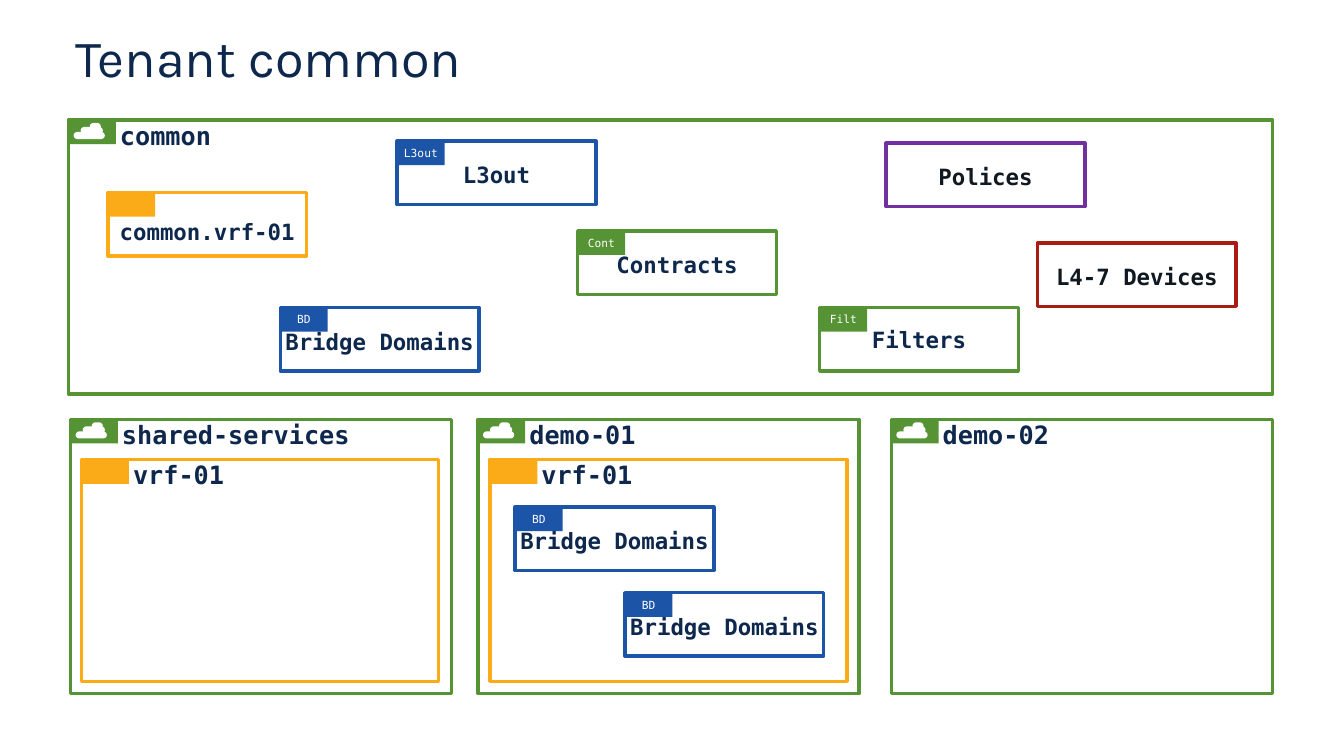
from dataclasses import dataclass

from pptx import Presentation
from pptx.dml.color import RGBColor
from pptx.enum.shapes import MSO_SHAPE
from pptx.enum.text import MSO_ANCHOR, PP_ALIGN
from pptx.shapes.autoshape import Shape
from pptx.shapes.shapetree import SlideShapes
from pptx.text.text import TextFrame
from pptx.util import Inches, Pt

RECTANGLE = MSO_SHAPE.RECTANGLE
ROUNDED = MSO_SHAPE.ROUNDED_RECTANGLE
TOP, MIDDLE, BOTTOM = MSO_ANCHOR.TOP, MSO_ANCHOR.MIDDLE, MSO_ANCHOR.BOTTOM
LEFT, CENTER = PP_ALIGN.LEFT, PP_ALIGN.CENTER

COLORS = {
    "navy": "0D274D",
    "black": "101820",
    "white": "FFFFFF",
    "green": "569334",
    "blue": "1C54A7",
    "orange": "FBAB18",
    "purple": "7030A0",
    "red": "AA1B14",
}
MONO = "DejaVu Sans Mono"
TITLE_FONT = "Karla"
TAG_SIZE = (0.47, 0.24)
OBJECT_SIZE = (1.97, 0.63)
VRF_SIZE = (3.54, 2.2)
TENANT_HEIGHT = 2.72
TENANT_TOP = 4.16
# Offsets from the tenant corner and sizes of the bars that form a cloud
CLOUD_BARS = (
    (0.05, 0.12, 0.31, 0.07),
    (0.12, 0.07, 0.22, 0.07),
    (0.21, 0.03, 0.11, 0.07),
)


@dataclass(frozen=True)
class Container:
    name: str
    left: float
    top: float
    width: float
    height: float
    color: str = "green"
    cloud: bool = True


@dataclass(frozen=True)
class PolicyObject:
    name: str
    left: float
    top: float
    color: str
    tag: str | None = None
    ink: str = "navy"
    inset_top: float = 0.04
    inset_bottom: float = 0


CONTAINERS = (
    Container("common", 0.68, 1.19, 11.94, TENANT_HEIGHT),
    Container("shared-services", 0.7, TENANT_TOP, 3.78, TENANT_HEIGHT),
    Container("vrf-01", 0.81, 4.56, *VRF_SIZE, "orange", False),
    Container("demo-01", 4.74, TENANT_TOP, 3.78, TENANT_HEIGHT),
    Container("vrf-01", 4.86, 4.56, *VRF_SIZE, "orange", False),
    Container("demo-02", 8.84, TENANT_TOP, 3.78, TENANT_HEIGHT),
)
OBJECTS = (
    PolicyObject("common.vrf-01", 1.07, 1.91, "orange", "", "navy", 0.31, 0.16),
    PolicyObject("L3out", 3.94, 1.4, "blue", "L3out"),
    PolicyObject("Contracts", 5.73, 2.29, "green", "Cont"),
    PolicyObject("Filters", 8.13, 3.05, "green", "Filt", inset_top=0),
    PolicyObject("Polices", 8.79, 1.42, "purple", ink="black"),
    PolicyObject("L4-7 Devices", 10.29, 2.41, "red", ink="black"),
    PolicyObject("Bridge Domains", 2.78, 3.05, "blue", "BD"),
    PolicyObject("Bridge Domains", 5.11, 5.03, "blue", "BD"),
    PolicyObject("Bridge Domains", 6.2, 5.88, "blue", "BD"),
)


def rgb(name: str) -> RGBColor:
    return RGBColor.from_string(COLORS[name])


def write(frame: TextFrame, text: str, size: float, ink: str, align: PP_ALIGN,
          anchor: MSO_ANCHOR, insets: tuple[float, float, float, float],
          font: str = MONO, bold: bool = False) -> None:
    """Set one paragraph; insets run left, top, right, bottom."""
    frame.word_wrap = True
    frame.vertical_anchor = anchor
    (frame.margin_left, frame.margin_top,
     frame.margin_right, frame.margin_bottom) = map(Inches, insets)
    para = frame.paragraphs[0]
    para.text = text
    para.alignment = align
    para.font.name = font
    para.font.size = Pt(size)
    para.font.bold = bold
    para.font.color.rgb = rgb(ink)


def add_box(shapes: SlideShapes, left: float, top: float, width: float,
            height: float, fill: str | None = None, outline: str | None = None,
            kind: MSO_SHAPE = RECTANGLE) -> Shape:
    box = shapes.add_shape(kind, *map(Inches, (left, top, width, height)))
    box.shadow.inherit = False
    if fill:
        box.fill.solid()
        box.fill.fore_color.rgb = rgb(fill)
    else:
        box.fill.background()
    if outline:
        box.line.color.rgb = rgb(outline)
        box.line.width = Pt(2.5)
    else:
        box.line.fill.background()
    return box


def add_tag(shapes: SlideShapes, left: float, top: float, color: str,
            text: str = "") -> None:
    tag = add_box(shapes, left, top, *TAG_SIZE, fill=color)
    if text:
        write(tag.text_frame, text, 8, "white", CENTER, MIDDLE, (0, 0, 0, 0))


def add_cloud(shapes: SlideShapes, left: float, top: float) -> None:
    for across, down, width, height in CLOUD_BARS:
        bar = add_box(shapes, left + across, top + down, width, height,
                      fill="white", kind=ROUNDED)
        bar.adjustments[0] = 0.5


def add_container(shapes: SlideShapes, item: Container) -> None:
    box = add_box(shapes, item.left, item.top, item.width, item.height,
                  outline=item.color)
    write(box.text_frame, item.name, 18, "navy", LEFT, TOP,
          (0.51, 0, 0.24, 0.04), bold=True)
    add_tag(shapes, item.left, item.top, item.color)
    if item.cloud:
        add_cloud(shapes, item.left, item.top)


def add_object(shapes: SlideShapes, item: PolicyObject) -> None:
    box = add_box(shapes, item.left, item.top, *OBJECT_SIZE, outline=item.color)
    write(box.text_frame, item.name, 16, item.ink, CENTER, MIDDLE,
          (0, item.inset_top, 0, item.inset_bottom), bold=True)
    if item.tag is not None:
        add_tag(shapes, item.left, item.top, item.color, item.tag)


def add_title(shapes: SlideShapes, text: str) -> None:
    box = shapes.add_textbox(*map(Inches, (0.65, 0.29, 12.05, 0.63)))
    write(box.text_frame, text, 37.3, "navy", LEFT, BOTTOM,
          (0.1, 0.05, 0.1, 0.05), font=TITLE_FONT)
    box.text_frame.paragraphs[0].line_spacing = 0.8


def main() -> None:
    deck = Presentation()
    deck.slide_width, deck.slide_height = Inches(13.33), Inches(7.5)
    page = deck.slides.add_slide(deck.slide_layouts[6])
    add_title(page.shapes, "Tenant common")
    for container in CONTAINERS:
        add_container(page.shapes, container)
    for item in OBJECTS:
        add_object(page.shapes, item)
    deck.save("out.pptx")


if __name__ == "__main__":
    main()
